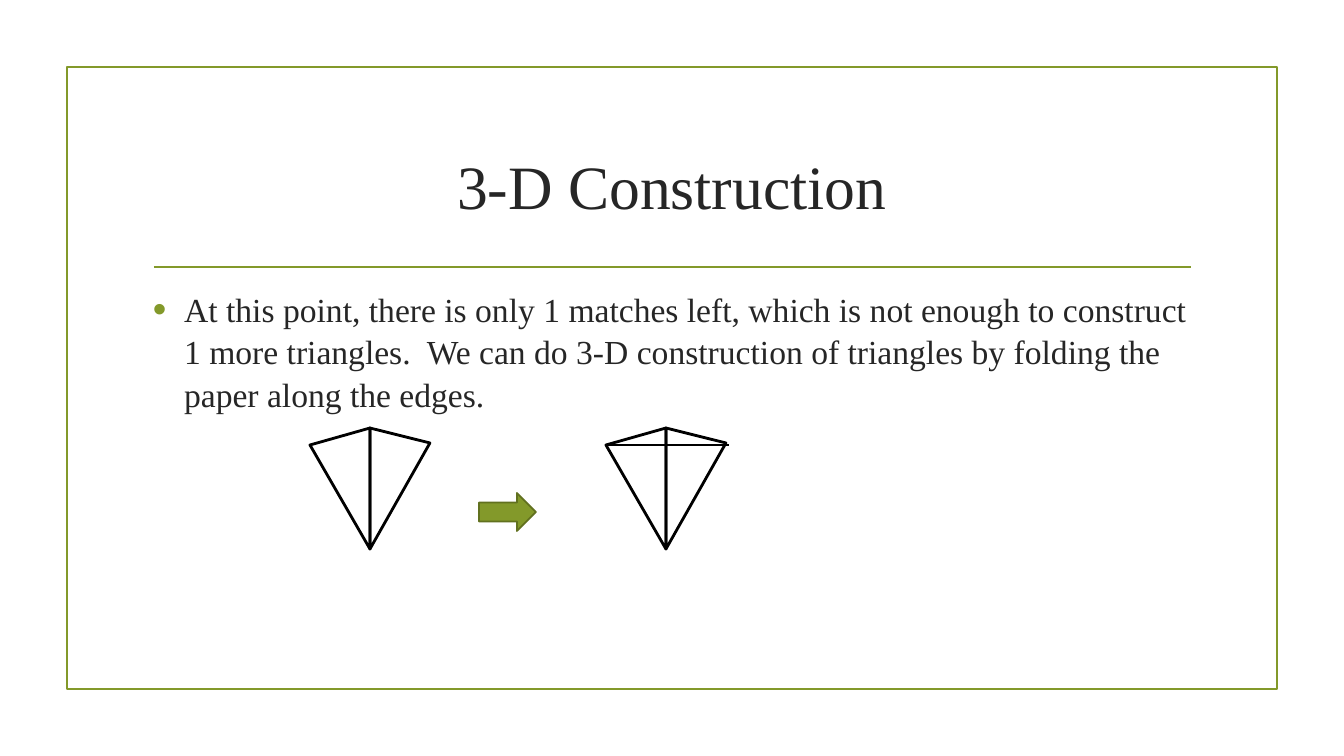
from pptx import Presentation, util as u
from pptx.dml.color import RGBColor
from pptx.enum import shapes, text
from pptx.oxml.ns import qn
from lxml import etree

TITLE = "3-D Construction"
BODY = ("At this point, there is only 1 matches left, which is not enough to "
        "construct 1 more triangles.  We can do 3-D construction of triangles "
        "by folding the paper along the edges.")
HUES = {"olive": "83992A", "moss": "61711F", "ink": "262626", "black": "000000"}
FONT = "Times New Roman"
PX = 914400 / 100.8
FRAME = (67, 67, 1210, 622)
RULE = (154, 267, 1191, 267)
HEAD = (143, 108, 1058, 144)
TEXT = (143, 282, 1058, 366)
ARROW = (479, 493, 57, 38)
CHORD = (606, 445, 729, 445)
FOLDS = [370, 666]
FACES = [
    [(0, 428), (60, 443), (0, 549)],
    [(0, 549), (-60, 445), (0, 428)],
]


def emu(nums):
    return [round(n * PX) for n in nums]


def hue(name):
    return RGBColor.from_string(HUES[name])


def put(item, vals):
    for key, val in vals.items():
        setattr(item, key, val)


def ink(line, name, width):
    line.color.rgb = hue(name)
    line.width = u.Pt(width)


def paint(shape, line, width, fill=None):
    shape.shadow.inherit = False
    if fill:
        shape.fill.solid()
        shape.fill.fore_color.rgb = hue(fill)
    else:
        shape.fill.background()
    ink(shape.line, line, width)


def draw(slide, ends, name, width):
    line = slide.shapes.add_connector(shapes.MSO_CONNECTOR.STRAIGHT, *emu(ends))
    ink(line.line, name, width)
    etree.SubElement(line._element.spPr, qn("a:effectLst"))


def write(box, words, size, align, anchor):
    frame = box.text_frame
    put(frame, {"word_wrap": True, "auto_size": text.MSO_AUTO_SIZE.NONE,
                "vertical_anchor": anchor})
    para = frame.paragraphs[0]
    para.add_run().text = words
    para.alignment = align
    font = para.runs[0].font
    put(font, {"name": FONT, "size": u.Pt(size)})
    font.color.rgb = hue("ink")
    return para


def bullet(para):
    props = para._p.get_or_add_pPr()
    props.set("marL", str(u.Inches(0.31)))
    props.set("indent", str(-u.Inches(0.31)))
    tint = etree.SubElement(props, qn("a:buClr"))
    etree.SubElement(tint, qn("a:srgbClr"), val=HUES["olive"])
    etree.SubElement(props, qn("a:buSzPct"), val="115000")
    etree.SubElement(props, qn("a:buFont"), typeface="Arial")
    etree.SubElement(props, qn("a:buChar"), char="•")


def main():
    deck = Presentation()
    deck.slide_width, deck.slide_height = emu((1344, 756))
    slide = deck.slides.add_slide(deck.slide_layouts[5])
    kit = slide.shapes

    paint(kit.add_shape(shapes.MSO_SHAPE.RECTANGLE, *emu(FRAME)), "olive", 1.25)
    draw(slide, RULE, "olive", 1.25)

    title = kit.title
    put(title, dict(zip(("left", "top", "width", "height"), emu(HEAD))))
    write(title, TITLE, 44, text.PP_ALIGN.CENTER, text.MSO_ANCHOR.MIDDLE)
    title.text_frame.margin_top = u.Emu(round(14 * PX))

    body = kit.add_textbox(*emu(TEXT))
    para = write(body, BODY, 24, text.PP_ALIGN.LEFT, text.MSO_ANCHOR.TOP)
    bullet(para)
    put(para, {"line_spacing": 1.05, "space_after": u.Pt(6)})

    arrow = kit.add_shape(shapes.MSO_SHAPE.RIGHT_ARROW, *emu(ARROW))
    paint(arrow, "moss", 1.25, "olive")

    for mid in FOLDS:
        for face in FACES:
            spots = [(mid + x, y) for x, y in face]
            pen = kit.build_freeform(*spots[0], scale=PX)
            pen.add_line_segments(spots[1:], close=True)
            paint(pen.convert_to_shape(), "black", 2)
    draw(slide, CHORD, "black", 2)

    deck.save("out.pptx")


if __name__ == "__main__":
    main()
